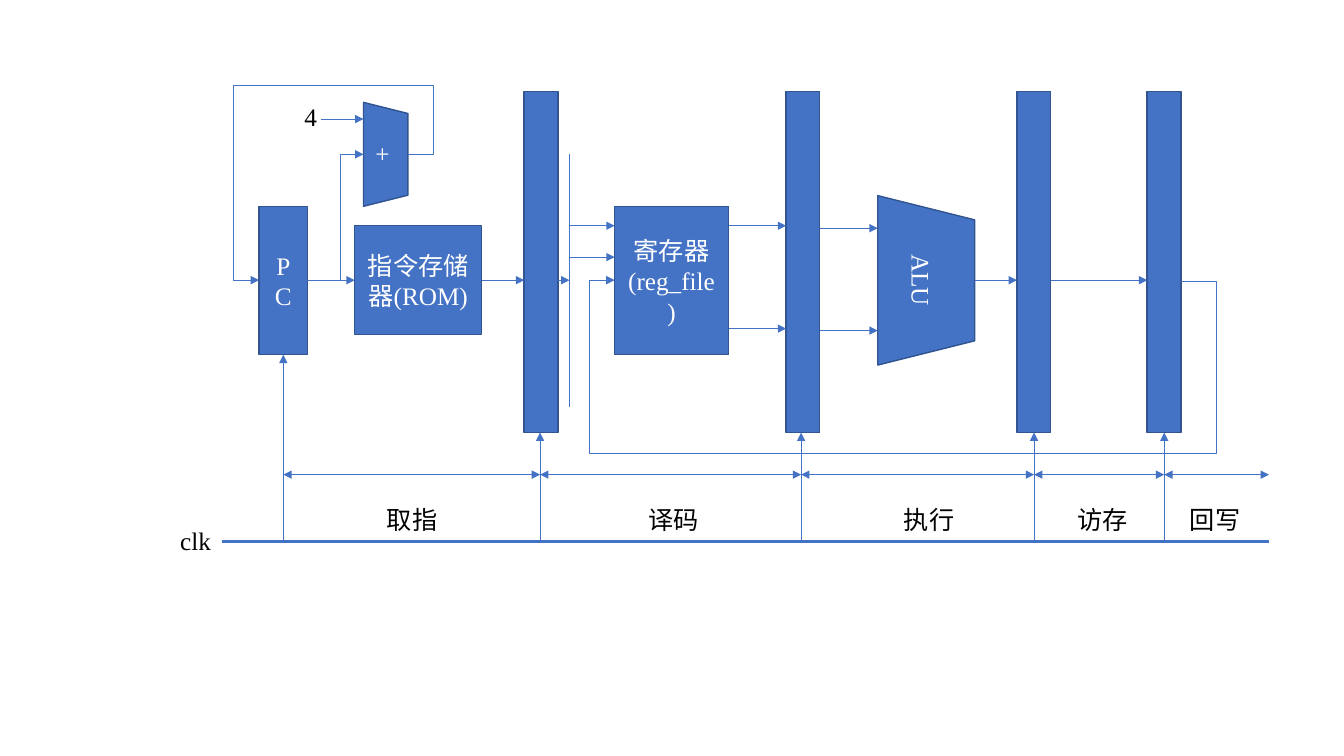
from dataclasses import dataclass

from lxml import etree
from pptx import Presentation
from pptx.dml.color import RGBColor
from pptx.enum.shapes import MSO_CONNECTOR, MSO_SHAPE
from pptx.enum.text import MSO_ANCHOR, MSO_AUTO_SIZE, PP_ALIGN
from pptx.oxml.ns import qn
from pptx.util import Cm, Pt

STRAIGHT, ELBOW = MSO_CONNECTOR.STRAIGHT, MSO_CONNECTOR.ELBOW
RECTANGLE, TRAPEZOID = MSO_SHAPE.RECTANGLE, MSO_SHAPE.TRAPEZOID
CENTER, MIDDLE = PP_ALIGN.CENTER, MSO_ANCHOR.MIDDLE
NO_WRAP_SIZE = MSO_AUTO_SIZE.SHAPE_TO_FIT_TEXT
BLUE = RGBColor(0x44, 0x72, 0xC4)
DARK_BLUE = RGBColor(0x32, 0x54, 0x91)
WHITE = RGBColor(0xFF, 0xFF, 0xFF)
BLACK = RGBColor(0x00, 0x00, 0x00)
FONT = "Times New Roman"
BOTH = ("headEnd", "tailEnd")
FORWARD = ("tailEnd",)
REGISTER_WIDTH, REGISTER_TOP, REGISTER_HEIGHT = 0.85, 2.31, 8.59
REGISTER_LEFTS = (13.21, 19.81, 25.63, 28.91)
BUS_Y = 7.06


@dataclass
class Box:
    """A region of the slide in centimetres."""
    left: float
    top: float
    width: float
    height: float

    def at(self, x, y):
        """Turn an offset inside the box into a slide position."""
        return self.left + x, self.top + y


def write(frame, text, color):
    """Fill a text frame, one paragraph per line."""
    frame.text = text
    for paragraph in frame.paragraphs:
        paragraph.font.name = FONT
        paragraph.font.size = Pt(18)
        paragraph.font.color.rgb = color
        if color == WHITE:
            paragraph.alignment = CENTER


def add_block(slide, position, width, height, text="", kind=RECTANGLE):
    """Add a blue unit with centred white text."""
    x, y = position
    shape = slide.shapes.add_shape(kind, Cm(x), Cm(y), Cm(width), Cm(height))
    shape.shadow.inherit = False
    shape.fill.solid()
    shape.fill.fore_color.rgb = BLUE
    shape.line.color.rgb = DARK_BLUE
    shape.line.width = Pt(1)
    shape.text_frame.word_wrap = True
    shape.text_frame.vertical_anchor = MIDDLE
    if text:
        write(shape.text_frame, text, WHITE)
    return shape


def add_sideways_trapezoid(slide, position, width, height, text):
    """Add a trapezoid turned to the right that fills the given area."""
    shift = (height - width) / 2
    x, y = position
    shape = add_block(slide, (x - shift, y + shift), height, width, text, TRAPEZOID)
    shape.rotation = 90


def add_label(slide, position, width, text):
    """Add a black one-line label."""
    x, y = position
    label = slide.shapes.add_textbox(Cm(x), Cm(y), Cm(width), Cm(1.02))
    label.text_frame.word_wrap = False
    label.text_frame.auto_size = NO_WRAP_SIZE
    write(label.text_frame, text, BLACK)


def add_line(slide, start, end, ends=FORWARD, weight=0.5, kind=STRAIGHT):
    """Add a connector with triangles at the named ends."""
    points = [Cm(value) for value in (*start, *end)]
    line = slide.shapes.add_connector(kind, *points)
    line.line.color.rgb = BLUE
    line.line.width = Pt(weight)
    outline = line.line._get_or_add_ln()
    for end_name in ends:
        etree.SubElement(outline, qn("a:" + end_name), type="triangle")
    etree.SubElement(line._element.spPr, qn("a:effectLst"))
    return line


def add_elbow(slide, start, end, *turns):
    """Add a bent arrow whose turns alternate between x and y positions."""
    line = add_line(slide, start, end, kind=ELBOW)
    geometry = line._element.spPr.find(qn("a:prstGeom"))
    geometry.set("prst", f"bentConnector{len(turns) + 2}")
    guides = geometry.find(qn("a:avLst"))
    if guides is None:
        guides = etree.SubElement(geometry, qn("a:avLst"))
    for index, turn in enumerate(turns):
        axis = index % 2
        ratio = (turn - start[axis]) / (end[axis] - start[axis])
        etree.SubElement(guides, qn("a:gd"), name=f"adj{index + 1}",
                         fmla=f"val {round(ratio * 100000)}")


def draw_fetch(slide, box):
    """Draw the program counter, its adder and the instruction memory."""
    bus = BUS_Y - box.top
    adder_y = 1.73
    add_block(slide, box.at(0.64, 3.05), 1.22, 3.73, "PC")
    add_sideways_trapezoid(slide, box.at(3.27, 0.42), 1.12, 2.62, "+")
    add_block(slide, box.at(3.05, 3.53), 3.2, 2.74, "指令存储器(ROM)")
    add_label(slide, box.at(1.53, 0.28), 0.86, "4")
    add_line(slide, box.at(2.21, 0.84), box.at(3.27, 0.84))
    add_line(slide, box.at(1.86, bus), box.at(3.05, bus))
    add_line(slide, box.at(6.25, bus), box.at(box.width, bus))
    add_elbow(slide, box.at(1.86, bus), box.at(3.27, adder_y), box.left + 2.7)
    add_elbow(slide, box.at(4.39, adder_y), box.at(0.64, bus),
              box.left + 5.03, box.top, box.left)


def draw_decode(slide, box):
    """Draw the register file with its inputs and outputs."""
    bus = BUS_Y - box.top
    split, file_left, file_width = 0.29, 1.43, 2.87
    add_block(slide, box.at(file_left, 2.9), file_width, 3.73, "寄存器\n(reg_file)")
    add_line(slide, box.at(split, 1.58), box.at(split, 7.95), ends=())
    add_line(slide, box.at(0, bus), box.at(split, bus))
    for y in (3.38, 4.17):
        add_line(slide, box.at(split, y), box.at(file_left, y))
    for y in (3.38, 5.97):
        add_line(slide, box.at(file_left + file_width, y), box.at(box.width, y))


def draw_execute(slide, box):
    """Draw the ALU with two operands and one result."""
    bus = BUS_Y - box.top
    alu_left, alu_width = 1.46, 2.44
    add_sideways_trapezoid(slide, box.at(alu_left, 2.62), alu_width, 4.27, "ALU")
    for y in (3.44, 6.02):
        add_line(slide, box.at(0, y), box.at(alu_left, y))
    add_line(slide, box.at(alu_left + alu_width, bus), box.at(box.width, bus))


def draw_clock(slide, box):
    """Draw the clock line, its ticks and the stage spans."""
    clock_y, span_y, label_y = box.height, 3.02, 3.64
    stages = (("取指", 1.55, 0, 3.91), ("译码", 8.02, 1.96, 10.51),
              ("执行", 14.6, 1.96, 16.94), ("访存", 20.47, 1.96, 21.31),
              ("回写", 23.75, 1.96, 24.15))
    stage_ends = [stage[1] for stage in stages[1:]] + [box.width]
    add_label(slide, box.at(-1.3, box.height - 0.53), 1.3, "clk")
    add_line(slide, box.at(0, clock_y), box.at(box.width, clock_y), (), 2.5)
    for (name, x, tick_top, label_x), stage_end in zip(stages, stage_ends):
        add_line(slide, box.at(x, clock_y), box.at(x, tick_top))
        add_line(slide, box.at(x, span_y), box.at(stage_end, span_y), BOTH)
        add_label(slide, box.at(label_x, label_y), 1.8, name)


def stage_box(index):
    """Return the space between two neighbouring pipeline registers."""
    left = REGISTER_LEFTS[index] + REGISTER_WIDTH
    return Box(left, REGISTER_TOP, REGISTER_LEFTS[index + 1] - left, REGISTER_HEIGHT)


def draw_pipeline(slide):
    """Draw the five-stage pipeline."""
    for left in REGISTER_LEFTS:
        add_block(slide, (left, REGISTER_TOP), REGISTER_WIDTH, REGISTER_HEIGHT)
    draw_fetch(slide, Box(5.89, 2.16, 7.32, 6.78))
    draw_decode(slide, stage_box(0))
    draw_execute(slide, stage_box(1))
    memory = stage_box(2)
    add_line(slide, (memory.left, BUS_Y), (memory.left + memory.width, BUS_Y))
    add_elbow(slide, (REGISTER_LEFTS[-1] + REGISTER_WIDTH, BUS_Y + 0.03),
              (15.49, BUS_Y), 30.66, 11.43, 14.86)
    draw_clock(slide, Box(5.59, 8.94, 26.39, 4.7))


presentation = Presentation()
presentation.slide_width, presentation.slide_height = Cm(33.87), Cm(19.05)
draw_pipeline(presentation.slides.add_slide(presentation.slide_layouts[6]))
presentation.save("out.pptx")
